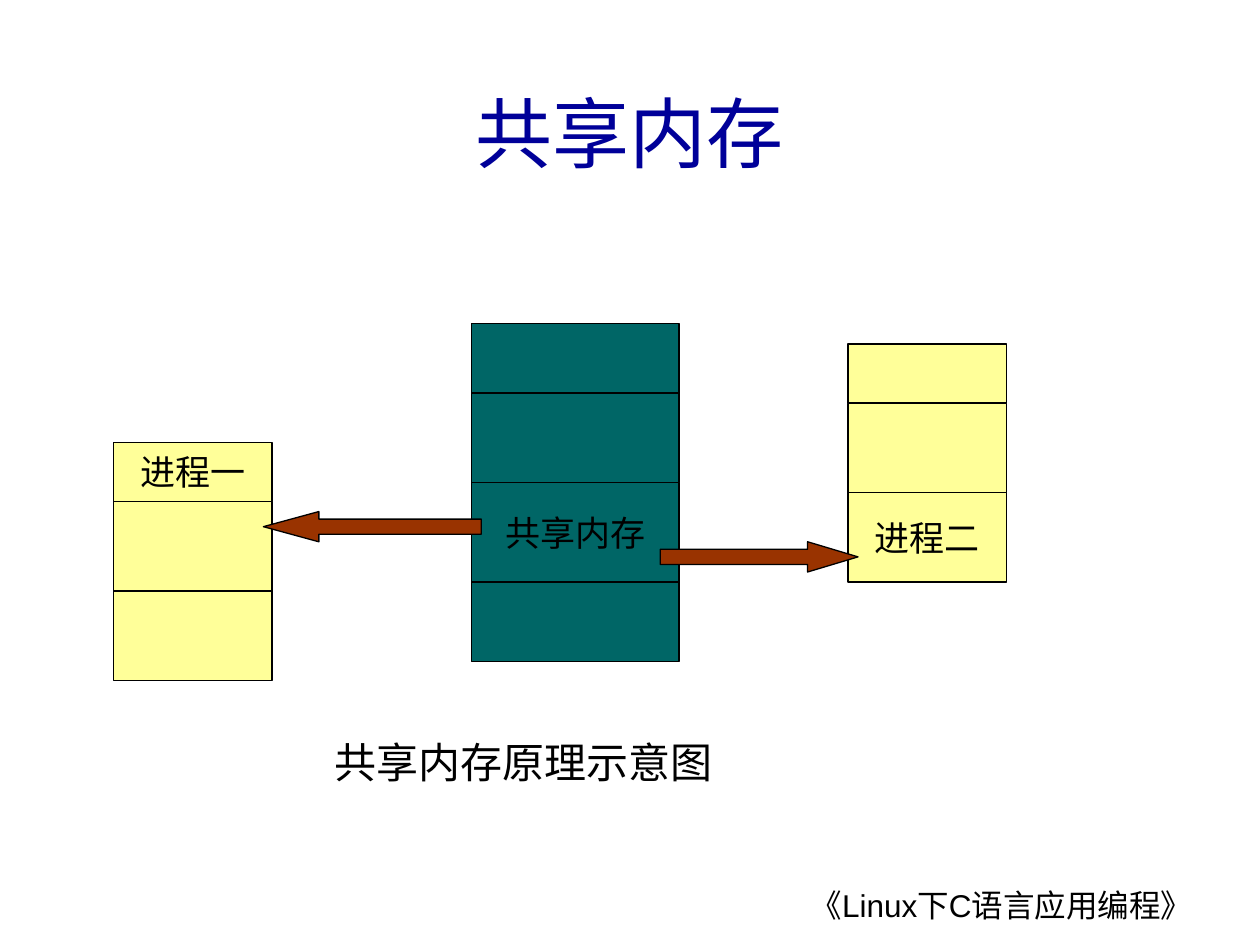
from dataclasses import dataclass

import pptx
import pptx.dml.color
import pptx.enum.shapes
import pptx.enum.text
import pptx.util

Inches = pptx.util.Inches
Align = pptx.enum.text.PP_ALIGN
Anchor = pptx.enum.text.MSO_ANCHOR
Preset = pptx.enum.shapes.MSO_SHAPE

COLORS = {
    "title": "000099",
    "ink": "000000",
    "process": "FFFF99",
    "memory": "006666",
    "arrow": "993300",
}


@dataclass(frozen=True)
class MemoryMap:
    left: float
    top: float
    width: float
    color: str
    heights: tuple[float, ...]
    label: str
    labelled_block: int


@dataclass(frozen=True)
class Arrow:
    left: float
    top: float
    width: float
    rotation: int = 0


@dataclass(frozen=True)
class Caption:
    text: str
    left: float
    top: float
    width: float
    height: float
    size: int
    font: str
    color: str = "ink"
    align: Align = Align.LEFT
    anchor: Anchor = Anchor.TOP


MEMORY_MAPS = (
    MemoryMap(0.9, 3.51, 1.26, "process", (0.47, 0.71, 0.71), "进程一", 0),
    MemoryMap(6.73, 2.73, 1.26, "process", (0.47, 0.71, 0.71), "进程二", 2),
    MemoryMap(3.74, 2.57, 1.65, "memory", (0.55, 0.71, 0.79, 0.63), "共享内存", 2),
)
ARROWS = (Arrow(5.24, 4.3, 1.57), Arrow(2.09, 4.06, 1.73, rotation=180))
ARROW_HEIGHT = 0.24
ARROWHEAD_LENGTH = {0: 0.4, 180: 0.44}
CAPTIONS = (
    Caption("《Linux下C语言应用编程》", 5.31, 6.98, 4.25, 0.39, 18, "Arial",
            align=Align.RIGHT),
    Caption("共享内存", 0.33, 0.42, 9.34, 1.25, 44, "Arial", color="title",
            align=Align.CENTER, anchor=Anchor.MIDDLE),
    Caption("共享内存原理示意图", 2.56, 5.8, 4.57, 0.5, 24, "Times New Roman"),
)


def rgb(color: str) -> pptx.dml.color.RGBColor:
    return pptx.dml.color.RGBColor.from_string(COLORS[color])


def write_text(shape, text: str, *, size: int, font: str, color: str = "ink",
               align: Align = Align.CENTER, anchor: Anchor = Anchor.MIDDLE,
               wrap: bool = True) -> None:
    frame = shape.text_frame
    frame.word_wrap = wrap
    frame.vertical_anchor = anchor
    paragraph = frame.paragraphs[0]
    paragraph.alignment = align
    run = paragraph.add_run()
    run.text = text
    run.font.size = pptx.util.Pt(size)
    run.font.name = font
    run.font.color.rgb = rgb(color)


def draw_shape(slide, preset: Preset, left: float, top: float, width: float,
               height: float, color: str):
    shape = slide.shapes.add_shape(
        preset, Inches(left), Inches(top), Inches(width), Inches(height))
    shape.shadow.inherit = False
    shape.fill.solid()
    shape.fill.fore_color.rgb = rgb(color)
    shape.line.color.rgb = rgb("ink")
    shape.line.width = pptx.util.Pt(0.75)
    return shape


def draw_memory_map(slide, memory: MemoryMap) -> None:
    for index, height in enumerate(memory.heights):
        top = memory.top + sum(memory.heights[:index])
        block = draw_shape(slide, Preset.RECTANGLE, memory.left, top,
                           memory.width, height, memory.color)
        if index == memory.labelled_block:
            write_text(block, memory.label, size=20, font="Times New Roman",
                       wrap=False)


def draw_arrow(slide, arrow: Arrow) -> None:
    pointer = draw_shape(slide, Preset.RIGHT_ARROW, arrow.left, arrow.top,
                         arrow.width, ARROW_HEIGHT, "arrow")
    pointer.adjustments[0] = 0.5
    pointer.adjustments[1] = ARROWHEAD_LENGTH[arrow.rotation] / ARROW_HEIGHT
    pointer.rotation = arrow.rotation


def draw_caption(slide, caption: Caption) -> None:
    box = slide.shapes.add_textbox(
        Inches(caption.left), Inches(caption.top),
        Inches(caption.width), Inches(caption.height))
    write_text(box, caption.text, size=caption.size, font=caption.font,
               color=caption.color, align=caption.align, anchor=caption.anchor)


def main() -> None:
    presentation = pptx.Presentation()
    presentation.slide_width = Inches(10)
    presentation.slide_height = Inches(7.5)
    slide = presentation.slides.add_slide(presentation.slide_layouts[6])
    for memory in MEMORY_MAPS:
        draw_memory_map(slide, memory)
    for arrow in ARROWS:
        draw_arrow(slide, arrow)
    for caption in CAPTIONS:
        draw_caption(slide, caption)
    presentation.save("out.pptx")


if __name__ == "__main__":
    main()
